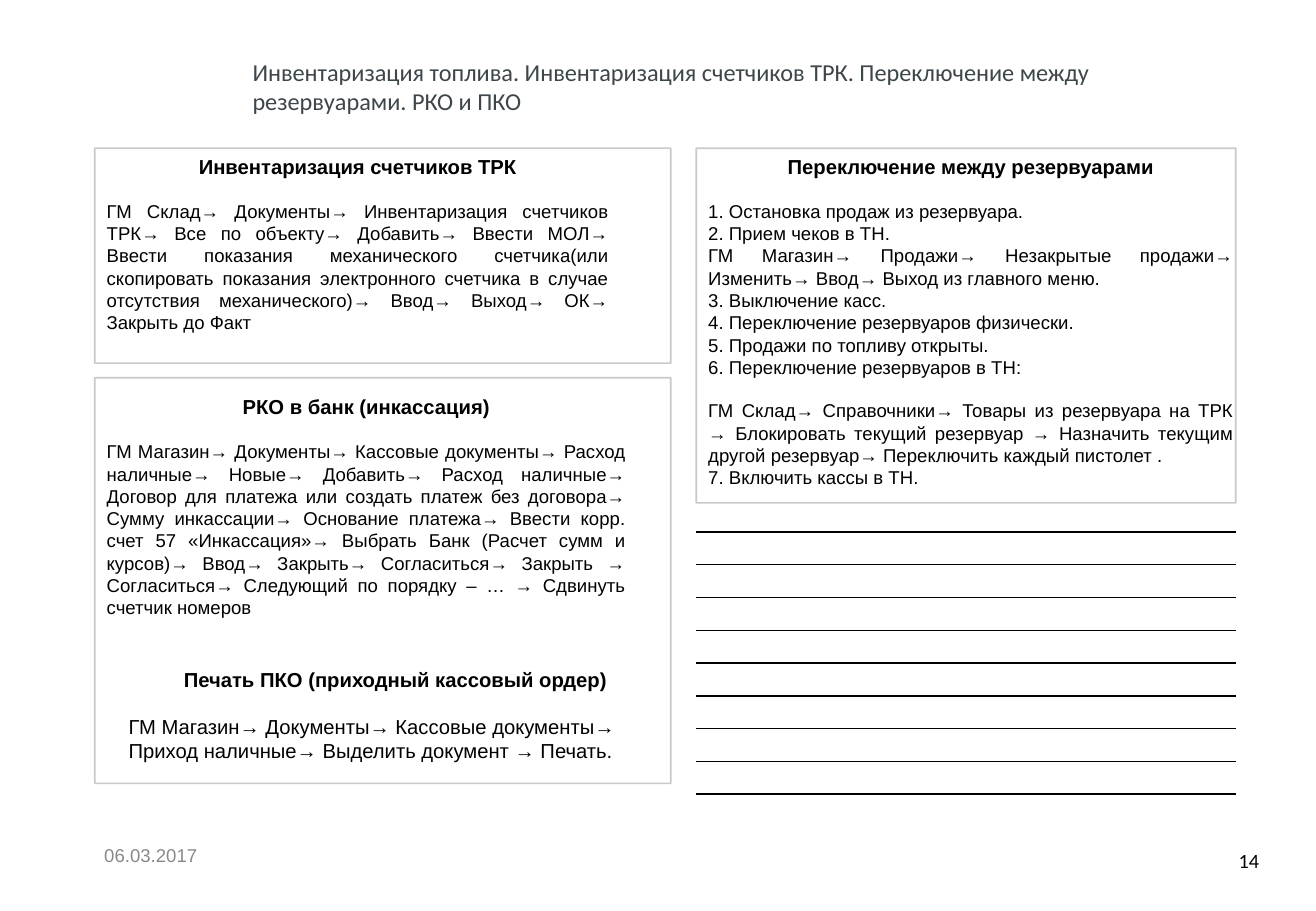
from lxml.etree import SubElement
from pptx import Presentation
from pptx.dml.color import RGBColor
from pptx.enum.shapes import MSO_SHAPE
from pptx.enum.text import MSO_ANCHOR, PP_ALIGN
from pptx.oxml import parse_xml
from pptx.oxml.ns import nsdecls, qn
from pptx.util import Inches, Pt

BLACK = RGBColor(0x00, 0x00, 0x00)
SLATE = RGBColor(0x3D, 0x46, 0x4A)
DATE_GRAY = RGBColor(0x89, 0x89, 0x89)
FRAME_GRAY = RGBColor(0xA6, 0xA6, 0xA6)

LEFT, RIGHT, TOP = 0.78, 5.73, 1.22
LEFT_WIDTH, RIGHT_WIDTH = 4.74, 4.44
BODY_GAP = 12.65
NOTE_ROWS, NOTE_PITCH = 8, 0.27

METERS = [
    "ГМ Склад→ Документы→ Инвентаризация счетчиков ТРК→ Все по объекту→ Добавить→ "
    "Ввести МОЛ→ Ввести показания механического счетчика(или скопировать показания "
    "электронного счетчика в случае отсутствия механического)→ Ввод→ Выход→ ОК→ "
    "Закрыть до Факт",
]
BANK = [
    "ГМ Магазин→ Документы→ Кассовые документы→ Расход наличные→ Новые→ Добавить→ "
    "Расход наличные→ Договор для платежа или создать платеж без договора→ Сумму "
    "инкассации→ Основание платежа→ Ввести корр. счет 57 «Инкассация»→ Выбрать Банк "
    "(Расчет сумм и курсов)→ Ввод→ Закрыть→ Согласиться→ Закрыть → Согласиться→ "
    "Следующий по порядку – … → Сдвинуть счетчик номеров",
]
RECEIPT = [
    "ГМ Магазин→ Документы→ Кассовые документы→ Приход наличные→ Выделить документ "
    "→ Печать.",
]
TANKS = [
    "1. Остановка продаж из резервуара.",
    "2. Прием чеков в TH.",
    "ГМ Магазин→ Продажи→ Незакрытые продажи→ Изменить→ Ввод→ Выход из главного меню.",
    "3. Выключение касс.",
    "4. Переключение резервуаров физически.",
    "5. Продажи по топливу открыты.",
    "6. Переключение резервуаров в TH:",
    "ГМ Склад→ Справочники→ Товары из резервуара на ТРК → Блокировать текущий "
    "резервуар → Назначить текущим другой резервуар→ Переключить каждый пистолет .",
    "7. Включить кассы в TH.",
]


class Page:
    def __init__(self, slide, font="Arial"):
        self.shapes = slide.shapes
        self.font = font

    def set_text(self, p, text, size, color=BLACK, bold=False, align=PP_ALIGN.LEFT,
                 font=None, gap=0):
        p.add_run().text = text
        p.alignment = align
        if gap:
            p.space_before = Pt(gap)
        p.font.name = font or self.font
        p.font.size = Pt(size)
        p.font.bold = bold
        p.font.color.rgb = color

    def box(self, x, y, w, h, anchor=MSO_ANCHOR.TOP):
        tf = self.shapes.add_textbox(Inches(x), Inches(y), Inches(w), Inches(h)).text_frame
        tf.word_wrap = True
        tf.vertical_anchor = anchor
        return tf

    def label(self, x, y, w, h, text, size, **style):
        tf = self.box(x, y, w, h, MSO_ANCHOR.MIDDLE)
        self.set_text(tf.paragraphs[0], text, size, **style)

    def procedure(self, x, y, w, h, heading, steps, size=11, align=PP_ALIGN.JUSTIFY,
                  gap=BODY_GAP, spaced=(0,)):
        """Centred bold heading over steps; steps whose index is in spaced get a gap."""
        tf = self.box(x, y, w, h)
        self.set_text(tf.paragraphs[0], heading, 12, bold=True, align=PP_ALIGN.CENTER)
        for i, step in enumerate(steps):
            self.set_text(tf.add_paragraph(), step, size, align=align,
                          gap=gap if i in spaced else 0)

    def frame(self, x, y, w, h):
        s = self.shapes.add_shape(MSO_SHAPE.RECTANGLE, Inches(x), Inches(y),
                                  Inches(w), Inches(h))
        s.shadow.inherit = False
        s.fill.background()
        s.line.color.rgb = FRAME_GRAY
        s.line.width = Pt(1)
        color = next(s.element.spPr.find(qn("a:ln")).iter(qn("a:srgbClr")))
        SubElement(color, qn("a:alpha"), val="60000")

    def note_lines(self, x, y, w, rows, pitch):
        """Empty one-column table with horizontal rules only."""
        table = self.shapes.add_table(rows, 1, Inches(x), Inches(y), Inches(w),
                                      Inches(rows * pitch)).table
        table.first_row = table.horz_banding = False
        no_line = "<a:noFill/>"
        rule = f'<a:solidFill><a:srgbClr val="{BLACK}"/></a:solidFill>'
        sides = {"lnL": no_line, "lnR": no_line, "lnT": rule, "lnB": rule}
        for i, row in enumerate(table.rows):
            row.height = Inches(pitch)
            cell = table.cell(i, 0)
            cell.margin_top = cell.margin_bottom = 0
            cell.fill.background()
            SubElement(cell.text_frame.paragraphs[0]._p, qn("a:endParaRPr"), sz="1000")
            tc_pr = cell._tc.get_or_add_tcPr()
            for k, (side, paint) in enumerate(sides.items()):
                tc_pr.insert(k, parse_xml(
                    f'<a:{side} {nsdecls("a")} w="{Pt(1)}">{paint}</a:{side}>'))


def main():
    prs = Presentation()
    prs.slide_width, prs.slide_height = Inches(10.83), Inches(7.5)
    page = Page(prs.slides.add_slide(prs.slide_layouts[6]))

    page.label(1.98, 0.4, 7.8, 0.62,
               "Инвентаризация топлива. Инвентаризация счетчиков ТРК. "
               "Переключение между резервуарами. РКО и ПКО",
               14.4, color=SLATE, font="Calibri")
    page.label(0.76, 6.84, 2.53, 0.4, "06.03.2017", 11, color=DATE_GRAY)
    page.label(9.88, 6.88, 0.58, 0.4, "14", 12, align=PP_ALIGN.RIGHT, font="Calibri")

    page.procedure(RIGHT, TOP, 4.52, 3.07, "Переключение между резервуарами", TANKS,
                   spaced=(0, 7))
    page.procedure(LEFT, 3.2, 4.47, 2.0, "РКО в банк (инкассация)", BANK)
    page.procedure(0.96, 5.44, 4.59, 0.95, "Печать ПКО (приходный кассовый ордер)",
                   RECEIPT, size=12, align=PP_ALIGN.LEFT, gap=13.8)
    page.procedure(LEFT, TOP, 4.33, 1.78, "Инвентаризация счетчиков ТРК", METERS)

    page.frame(LEFT, 3.11, LEFT_WIDTH, 3.34)
    page.frame(LEFT, TOP, LEFT_WIDTH, 1.77)
    page.frame(RIGHT, TOP, RIGHT_WIDTH, 2.92)
    page.note_lines(RIGHT, 4.38, RIGHT_WIDTH, NOTE_ROWS, NOTE_PITCH)

    prs.save("out.pptx")


if __name__ == "__main__":
    main()
